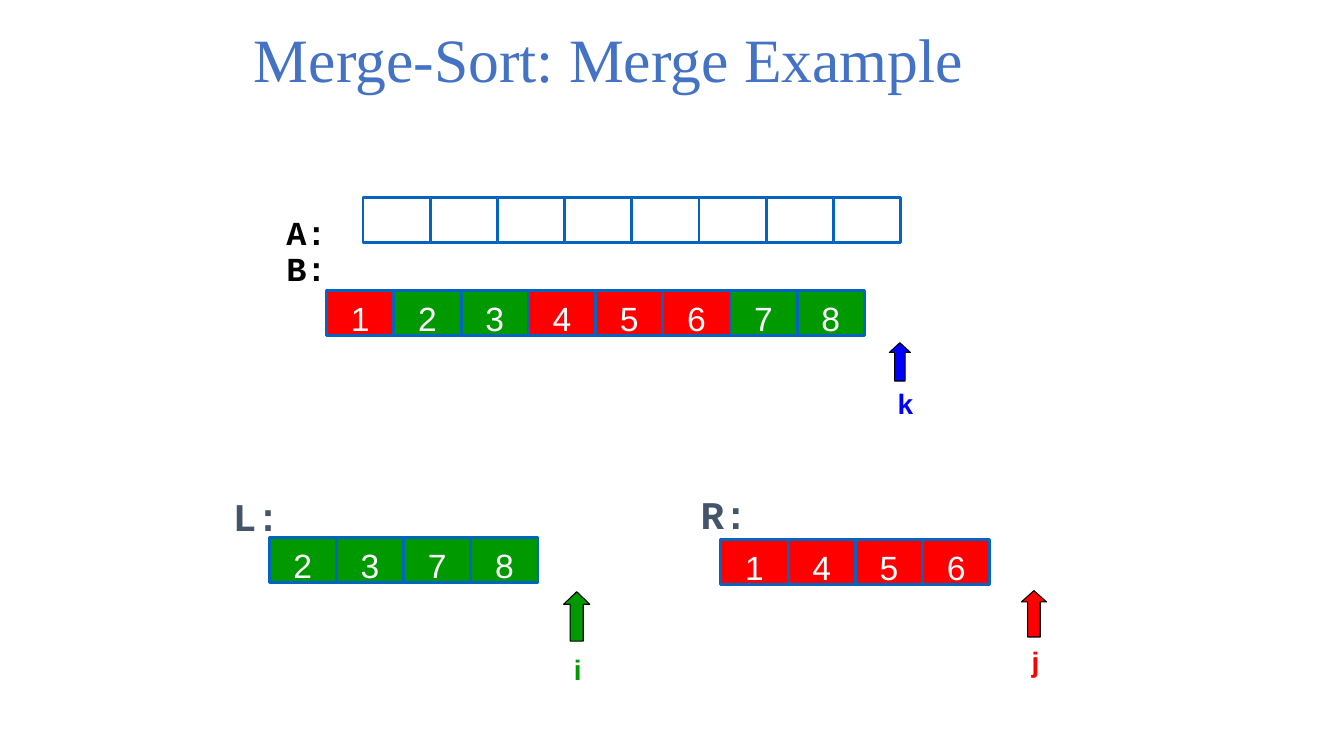
from dataclasses import dataclass

from pptx import Presentation
from pptx.dml.color import RGBColor
from pptx.enum.shapes import MSO_SHAPE
from pptx.enum.text import MSO_ANCHOR, PP_ALIGN
from pptx.util import Inches, Pt


@dataclass(frozen=True)
class Theme:
    title: str = "4472C4"
    array_label: str = "000000"
    half_label: str = "44546A"
    left: str = "009900"
    right: str = "FF0000"
    output: str = "0000FF"
    white: str = "FFFFFF"
    border: str = "0563C1"
    arrow_line: str = "000000"
    sans: str = "Arial"
    mono: str = "Courier New"
    serif: str = "Times New Roman"
    title_size: int = 44
    half_size: int = 28
    body_size: int = 24
    index_size: int = 20


T = Theme()
CELL_W, CELL_H = 2 / 3, 0.45
LEFT_VALUES = "2378"
RIGHT_VALUES = "1456"


def rgb(color):
    return RGBColor.from_string(color)


def write(sp, text, font=T.sans, size=T.body_size, color=T.white, bold=False,
          align=PP_ALIGN.CENTER, anchor=MSO_ANCHOR.TOP, insets=(0, 0.08, 0, 0),
          line_spacing=None):
    tf = sp.text_frame
    tf.word_wrap = True
    tf.vertical_anchor = anchor
    tf.margin_left, tf.margin_top, tf.margin_right, tf.margin_bottom = map(Inches, insets)
    p = tf.paragraphs[0]
    p.alignment = align
    p.line_spacing = line_spacing
    r = p.add_run()
    r.text = text
    r.font.name, r.font.size, r.font.bold = font, Pt(size), bold
    r.font.color.rgb = rgb(color)


def add_text(s, box, text, **fmt):
    write(s.shapes.add_textbox(*map(Inches, box)), text, **fmt)


def add_block(s, kind, box, fill, line, width):
    sp = s.shapes.add_shape(kind, *map(Inches, box))
    sp.shadow.inherit = False
    sp.fill.solid()
    sp.fill.fore_color.rgb = rgb(fill)
    sp.line.color.rgb = rgb(line)
    sp.line.width = Pt(width)
    return sp


def add_title(s, box, text):
    add_text(s, box, text, font=T.serif, size=T.title_size, color=T.title,
             align=PP_ALIGN.LEFT, anchor=MSO_ANCHOR.MIDDLE,
             insets=(0.1, 0.05, 0.1, 0.05), line_spacing=0.9)


def add_array(s, x, y, values, fills):
    """Draw one row of adjoining cells; a None value leaves its cell empty."""
    for i, (value, fill) in enumerate(zip(values, fills)):
        sp = add_block(s, MSO_SHAPE.RECTANGLE, (x + i * CELL_W, y, CELL_W, CELL_H),
                       fill, T.border, 2)
        if value:
            write(sp, value)


def add_label(s, x, y, text, size, color):
    add_text(s, (x, y, 0.6, 0.57), text, font=T.mono, size=size, color=color,
             bold=True, align=PP_ALIGN.LEFT, insets=(0, 0.11, 0, 0))


def add_index(s, box, name, color, label_at, head):
    """Draw an index arrow in the box, with its name centred at label_at."""
    arrow = add_block(s, MSO_SHAPE.UP_ARROW, box, color, T.arrow_line, 0.75)
    arrow.adjustments[1] = head
    center, top = label_at
    add_text(s, (center - 0.25, top, 0.5, 0.43), name, size=T.index_size,
             color=color, bold=True)


def add_merge_slide(prs):
    s = prs.slides.add_slide(prs.slide_layouts[6])
    add_title(s, (2.42, 0, 8.5, 1.25), "Merge-Sort: Merge Example")

    merged = sorted(LEFT_VALUES + RIGHT_VALUES)
    sources = [T.left if v in LEFT_VALUES else T.right for v in merged]
    add_array(s, 3.24, 2.88, merged, sources)
    add_array(s, 2.67, 5.33, LEFT_VALUES, [T.left] * 4)
    add_array(s, 7.15, 5.35, RIGHT_VALUES, [T.right] * 4)
    add_array(s, 3.6, 1.96, [None] * 8, [T.white] * 8)

    for x, y, text, size, color in (
            (2.84, 1.99, "A:", T.body_size, T.array_label),
            (2.84, 2.35, "B:", T.body_size, T.array_label),
            (2.31, 4.77, "L:", T.half_size, T.half_label),
            (6.95, 4.75, "R:", T.half_size, T.half_label)):
        add_label(s, x, y, text, size, color)

    add_index(s, (5.59, 5.87, 0.26, 0.49), "i", T.left, (5.73, 6.39), 0.48)
    add_index(s, (10.13, 5.86, 0.25, 0.46), "j", T.right, (10.27, 6.31), 0.45)
    add_index(s, (8.82, 3.4, 0.21, 0.38), "k", T.output, (8.98, 3.75), 0.46)


def main():
    prs = Presentation()
    prs.slide_width, prs.slide_height = Inches(13.33), Inches(7.5)
    add_merge_slide(prs)
    prs.save("out.pptx")


if __name__ == "__main__":
    main()
